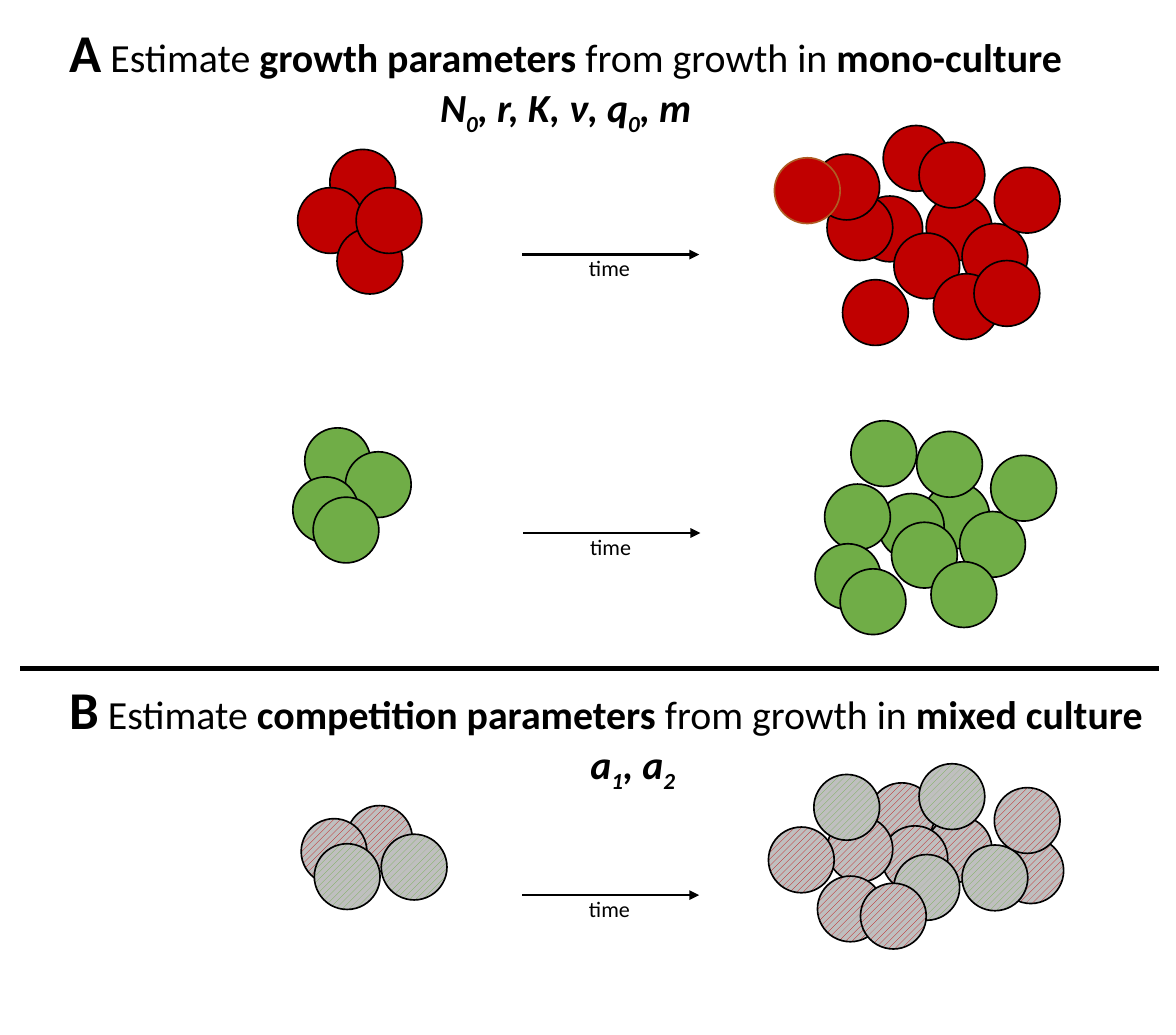
from lxml.etree import SubElement
from pptx import Presentation
from pptx.dml.color import RGBColor
from pptx.enum.dml import MSO_PATTERN
from pptx.enum.shapes import MSO_CONNECTOR, MSO_SHAPE
from pptx.enum.text import MSO_AUTO_SIZE, PP_ALIGN
from pptx.oxml.ns import qn
from pptx.util import Inches, Pt

FONT = "Calibri"
BLACK, RED, GREEN, GRAY, BROWN = "000000", "C00000", "70AD47", "BFBFBF", "AF5C24"
CELL_SIZE = 0.55

# Cell positions (left, top), from back to front
RED_START = [(2.76, 1.25), (2.49, 1.57), (2.82, 1.91), (2.98, 1.57)]
RED_GROWN = [
    (7.17, 1.64), (7.75, 1.63), (7.39, 1.05), (6.92, 1.63), (8.05, 1.87),
    (6.81, 1.29), (7.69, 1.19), (7.48, 1.95), (8.32, 1.4), (7.81, 2.29),
    (7.05, 2.34), (8.15, 2.18),
]
RED_OUTLIER = (6.48, 1.32)
GREEN_START = [(2.55, 3.58), (2.89, 3.78), (2.45, 3.99), (2.62, 4.16)]
GREEN_GROWN = [
    (7.73, 4.04), (7.12, 3.52), (7.35, 4.13), (6.9, 4.05), (8.03, 4.28),
    (6.82, 4.55), (7.67, 3.61), (7.46, 4.37), (8.29, 3.81), (7.79, 4.7),
    (7.03, 4.76),
]
MIXED_START = [
    (RED, 2.9, 6.74), (RED, 2.52, 6.85), (GREEN, 3.19, 6.98), (GREEN, 2.63, 7.06),
]
MIXED_GROWN = [
    (RED, 7.75, 6.83), (RED, 8.35, 7.01), (RED, 7.27, 6.55), (RED, 7.38, 6.91),
    (RED, 6.92, 6.83), (GREEN, 8.05, 7.07), (GREEN, 6.81, 6.48), (RED, 6.84, 7.33),
    (GREEN, 7.69, 6.39), (GREEN, 7.48, 7.15), (RED, 8.32, 6.59), (RED, 6.43, 6.92),
    (RED, 7.2, 7.39),
]


def rgb(color):
    return RGBColor.from_string(color)


def add_cell(slide, left, top, color, outline=BLACK, striped=False):
    cell = slide.shapes.add_shape(
        MSO_SHAPE.OVAL, Inches(left), Inches(top), Inches(CELL_SIZE), Inches(CELL_SIZE))
    cell.shadow.inherit = False
    if striped:
        cell.fill.patterned()
        cell.fill.pattern = MSO_PATTERN.WIDE_UPWARD_DIAGONAL
        cell.fill.fore_color.rgb = rgb(color)
        cell.fill.back_color.rgb = rgb(GRAY)
    else:
        cell.fill.solid()
        cell.fill.fore_color.rgb = rgb(color)
    cell.line.color.rgb = rgb(outline)
    cell.line.width = Pt(1)


def add_line(shapes, left, right, y, width, arrow=False):
    line = shapes.add_connector(
        MSO_CONNECTOR.STRAIGHT, Inches(left), Inches(y), Inches(right), Inches(y))
    line.line.color.rgb = rgb(BLACK)
    line.line.width = Pt(width)
    properties = line._element.spPr
    if arrow:
        SubElement(properties.find(qn("a:ln")), qn("a:tailEnd"), type="triangle")
    SubElement(properties, qn("a:effectLst"))


def add_text_frame(shapes, left, top, width, height, wrap=True):
    frame = shapes.add_textbox(
        Inches(left), Inches(top), Inches(width), Inches(height)).text_frame
    frame.word_wrap = wrap
    frame.auto_size = MSO_AUTO_SIZE.SHAPE_TO_FIT_TEXT
    return frame


def style_paragraph(paragraph, size, align=None):
    paragraph.alignment = align
    paragraph.font.name = FONT
    paragraph.font.size = Pt(size)
    paragraph.font.color.rgb = rgb(BLACK)


def add_run(paragraph, text):
    run = paragraph.add_run()
    run.text = text
    return run


def add_heading(slide, top, width, letter, phrases, symbols, wrap=True):
    """Phrases alternate plain and bold; symbols alternate normal and subscript."""
    frame = add_text_frame(slide.shapes, 0.48, top, width, 1.04, wrap)

    title = frame.paragraphs[0]
    style_paragraph(title, 24)
    panel = add_run(title, letter)
    panel.font.size = Pt(32)
    panel.font.bold = True
    for index, phrase in enumerate(phrases):
        add_run(title, phrase).font.bold = index % 2 == 1

    parameters = frame.add_paragraph()
    style_paragraph(parameters, 24, PP_ALIGN.CENTER)
    parameters.font.bold = True
    parameters.font.italic = True
    for index, symbol in enumerate(symbols):
        run = add_run(parameters, symbol)
        if index % 2 == 1:
            run._r.get_or_add_rPr().set("baseline", "-25000")


def add_time_arrow(slide, left, y):
    group = slide.shapes.add_group_shape()
    add_line(group.shapes, left, left + 1.48, y, 1.5, arrow=True)
    label = add_text_frame(group.shapes, left + 0.18, y - 0.05, 1.1, 0.32).paragraphs[0]
    style_paragraph(label, 13.3, PP_ALIGN.CENTER)
    add_run(label, "time")


def main():
    deck = Presentation()
    deck.slide_width, deck.slide_height = Inches(9.84), Inches(8.66)
    slide = deck.slides.add_slide(deck.slide_layouts[6])

    for color, cells in ((RED, RED_START + RED_GROWN), (GREEN, GREEN_START + GREEN_GROWN)):
        for left, top in cells:
            add_cell(slide, left, top, color)
    add_cell(slide, *RED_OUTLIER, RED, outline=BROWN)
    for color, left, top in MIXED_START + MIXED_GROWN:
        add_cell(slide, left, top, color, striped=True)

    add_line(slide.shapes, 0.17, 9.7, 5.59, 3)
    add_heading(
        slide, 0.11, 8.59, "A",
        (" Estimate ", "growth parameters", " from growth in ", "mono-culture"),
        ("N", "0", ", r, K, ν, q", "0", ", m"), wrap=False)
    add_heading(
        slide, 5.61, 9.63, "B",
        (" Estimate ", "competition parameters ", "from growth in ", "mixed culture"),
        ("a", "1", ", a", "2"))
    for left, y in ((4.37, 2.13), (4.38, 4.46), (4.37, 7.49)):
        add_time_arrow(slide, left, y)

    deck.save("out.pptx")


if __name__ == "__main__":
    main()
